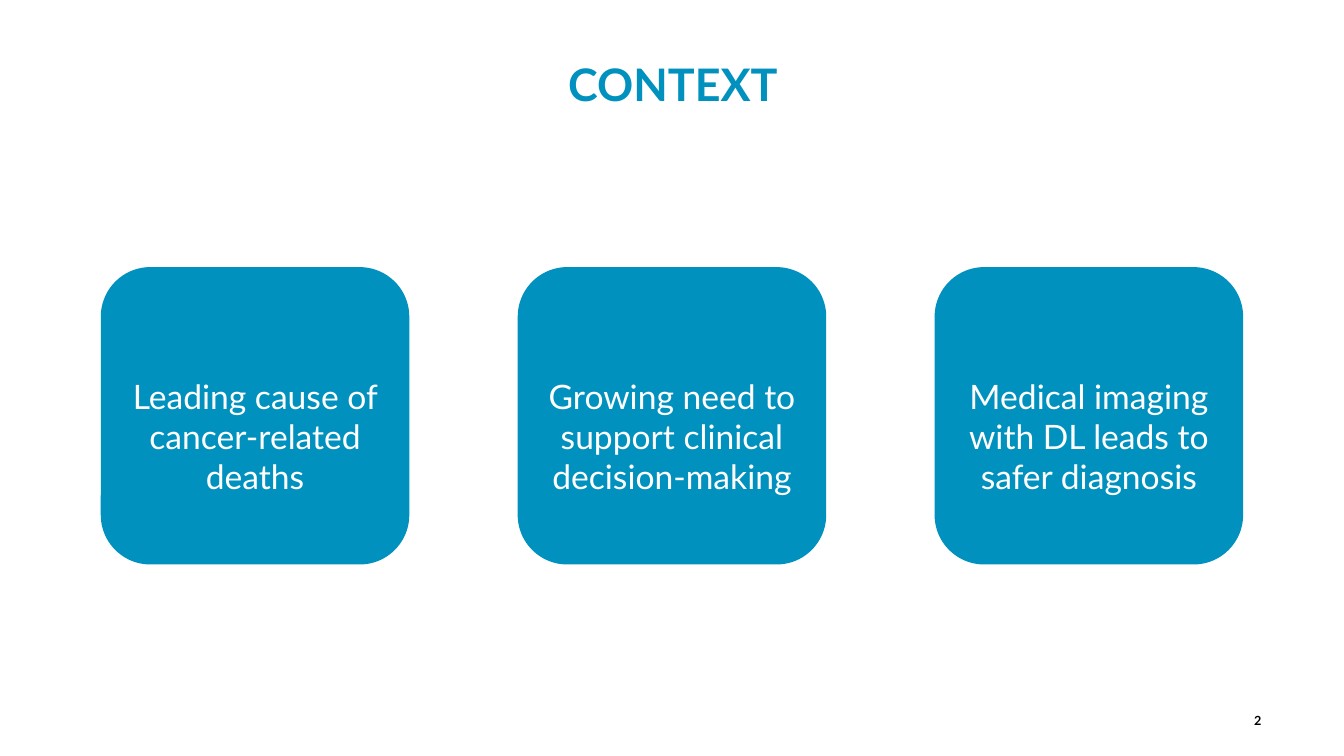
"""Build the context slide: a title above three rounded message cards."""
import dataclasses

import pptx
import pptx.dml.color
import pptx.enum.shapes
import pptx.enum.text
import pptx.util
from pptx.util import Inches

ALIGN = pptx.enum.text.PP_ALIGN
ANCHOR = pptx.enum.text.MSO_ANCHOR


@dataclasses.dataclass(frozen=True)
class Theme:
    font: str = "Lato"
    accent: str = "0091BE"
    light: str = "FFFFFF"
    dark: str = "000000"
    title_size: int = 32
    card_size: int = 24
    number_size: int = 9


THEME = Theme()
MESSAGES = (
    "Leading cause of cancer-related deaths",
    "Growing need to support clinical decision-making",
    "Medical imaging with DL leads to safer diagnosis",
)
CARD_LEFT, CARD_TOP = 1, 2.65
CARD_WIDTH, CARD_HEIGHT = 3.06, 2.95
CARD_PITCH = 4.135


def color(code):
    return pptx.dml.color.RGBColor.from_string(code)


def write(shape, text, size, ink, align, anchor, bold=False):
    frame = shape.text_frame
    frame.text = text
    frame.word_wrap = True
    frame.vertical_anchor = anchor
    para = frame.paragraphs[0]
    para.alignment = align
    span = para.runs[0]
    span.font.name = THEME.font
    span.font.size = pptx.util.Pt(size)
    span.font.bold = bold
    span.font.color.rgb = color(ink)


def add_title(page, text):
    title = page.shapes.title
    title.left, title.top = Inches(0), Inches(0.51)
    title.width, title.height = Inches(13.35), Inches(0.64)
    write(title, text, THEME.title_size, THEME.accent, ALIGN.CENTER, ANCHOR.TOP, bold=True)
    title.text_frame.auto_size = pptx.enum.text.MSO_AUTO_SIZE.SHAPE_TO_FIT_TEXT


def add_card(page, left, text):
    card = page.shapes.add_shape(
        pptx.enum.shapes.MSO_SHAPE.ROUNDED_RECTANGLE,
        Inches(left), Inches(CARD_TOP), Inches(CARD_WIDTH), Inches(CARD_HEIGHT),
    )
    card.shadow.inherit = False
    card.fill.solid()
    card.fill.fore_color.rgb = color(THEME.accent)
    card.line.fill.background()
    write(card, text, THEME.card_size, THEME.light, ALIGN.CENTER, ANCHOR.MIDDLE)
    card.text_frame.margin_top = Inches(0.45)


def add_page_number(page, number):
    box = page.shapes.add_textbox(Inches(11.82), Inches(6.95), Inches(0.79), Inches(0.4))
    write(box, number, THEME.number_size, THEME.dark, ALIGN.RIGHT, ANCHOR.MIDDLE, bold=True)


def main():
    deck = pptx.Presentation()
    deck.slide_width, deck.slide_height = Inches(13.33), Inches(7.5)
    page = deck.slides.add_slide(deck.slide_layouts.get_by_name("Title Only"))
    add_title(page, "CONTEXT")
    for column, message in enumerate(MESSAGES):
        add_card(page, CARD_LEFT + column * CARD_PITCH, message)
    add_page_number(page, "2")
    deck.save("out.pptx")


if __name__ == "__main__":
    main()
